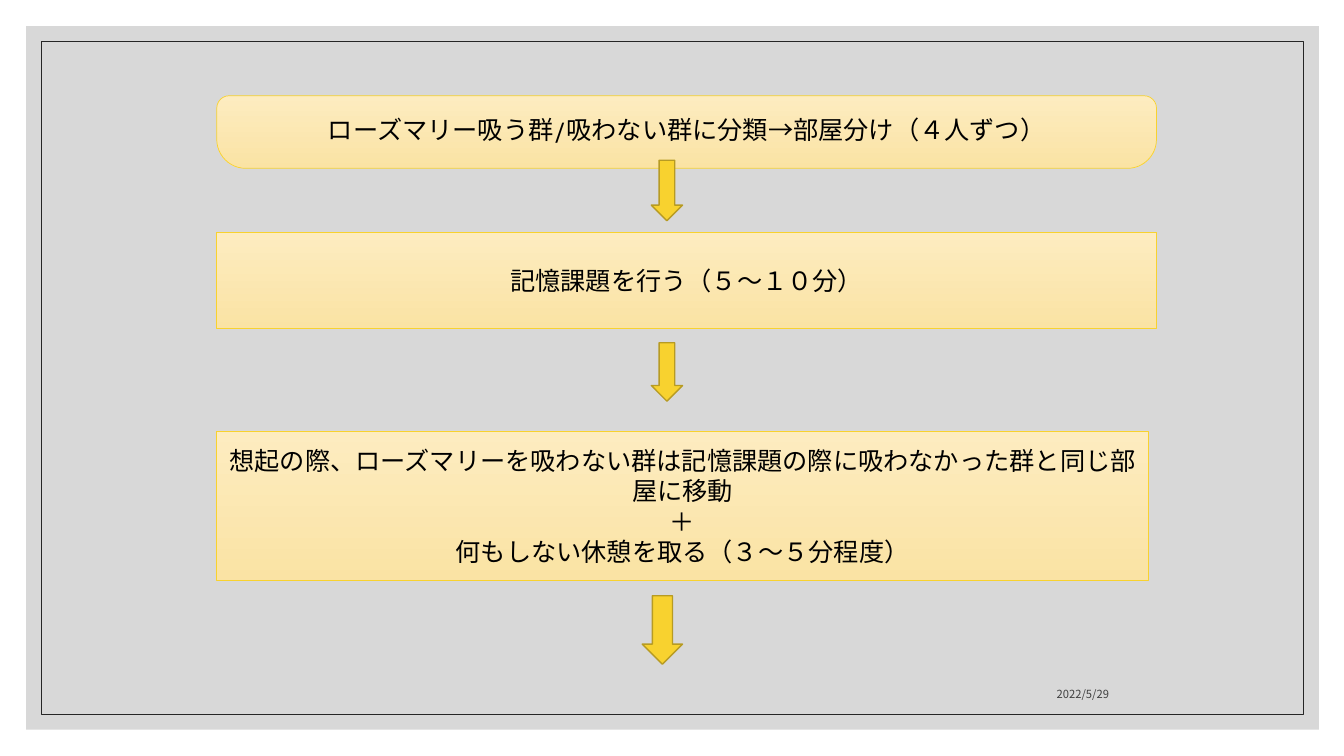
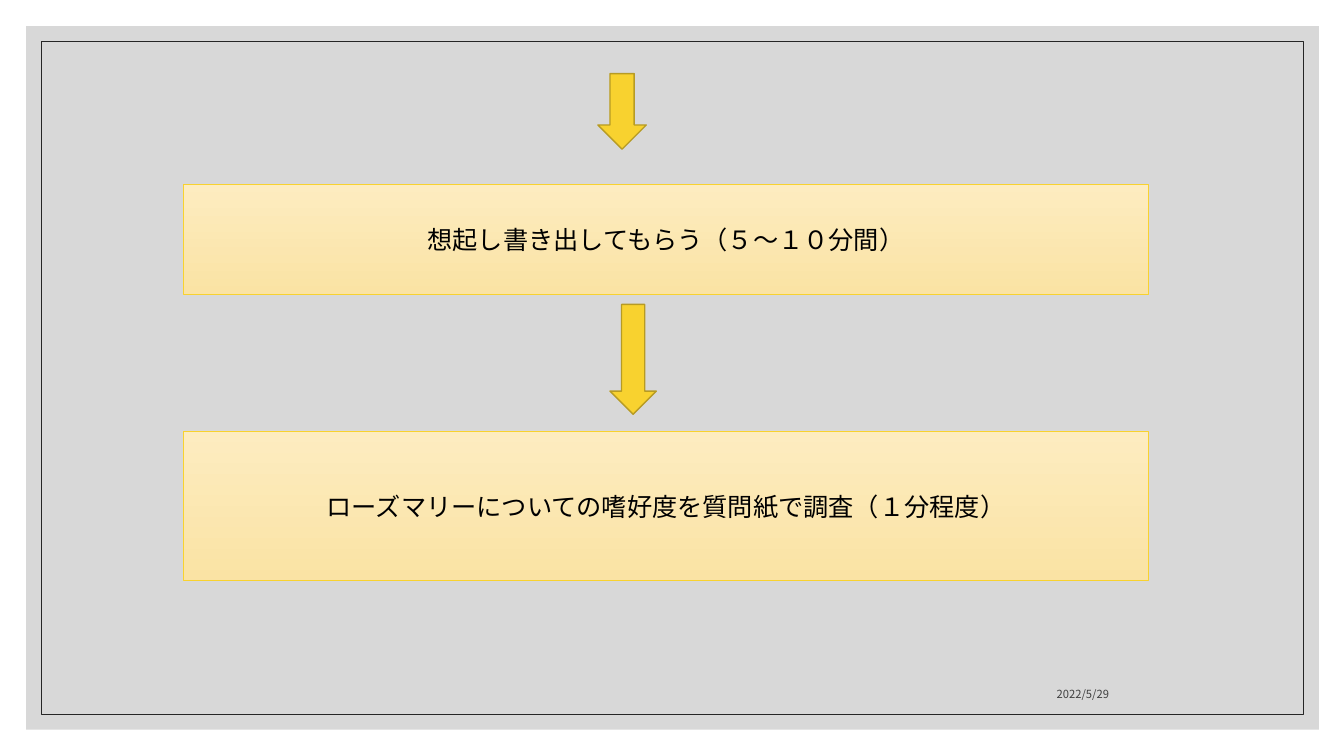
from dataclasses import dataclass
from lxml import etree
from pptx import Presentation
from pptx import util as u
from pptx.dml.color import RGBColor
from pptx.enum import lang, shapes, text
from pptx.oxml.ns import qn


@dataclass
class Theme:
    panel: str = "BFBFBF"
    panel_alpha: int = 60
    frame: str = "262626"
    date: str = "404040"
    ink: str = "000000"
    box: tuple = ("FDECC0", "FAE3A4")
    gold: str = "F8D22F"
    gold_dark: str = "B79B23"
    latin: str = "TeX Gyre Adventor"
    japanese: str = "Noto Sans CJK JP"
    body_size: int = 18
    date_size: int = 8


theme = Theme()
kinds = shapes.MSO_SHAPE
align = text.PP_ALIGN
anchor = text.MSO_ANCHOR


def add_shape(s, kind, at, fill=None, line=None, width=0.5):
    sp = s.shapes.add_shape(kind, *map(u.Inches, at))
    sp.shadow.inherit = False
    if isinstance(fill, tuple):
        sp.fill.gradient()
        sp.fill.gradient_angle = 270
        for stop, color in zip(sp.fill.gradient_stops, fill):
            stop.color.rgb = RGBColor.from_string(color)
    elif fill:
        sp.fill.solid()
        sp.fill.fore_color.rgb = RGBColor.from_string(fill)
    else:
        sp.fill.background()
    if line:
        sp.line.color.rgb = RGBColor.from_string(line)
        sp.line.width = u.Pt(width)
    else:
        sp.line.fill.background()
    return sp


def write(sp, lines, size, color, latin, alignment, vertical):
    tf = sp.text_frame
    for name, value in {"word_wrap": True, "vertical_anchor": vertical}.items():
        setattr(tf, name, value)
    for i, words in enumerate(lines):
        p = tf.add_paragraph() if i else tf.paragraphs[0]
        p.alignment = alignment
        r = p.add_run()
        r.text = words
        look = {"size": u.Pt(size), "name": latin,
                "language_id": lang.MSO_LANGUAGE_ID.JAPANESE}
        for name, value in look.items():
            setattr(r.font, name, value)
        r.font.color.rgb = RGBColor.from_string(color)
        etree.SubElement(r.font._element, qn("a:ea"), typeface=theme.japanese)


# Steps (kind, place, lines) and arrow places of each slide
left, wide = 2.15, 9.32
flows = [
    {"steps": [
        (kinds.ROUND_2_SAME_RECTANGLE, (left, 0.95, wide, 0.72),
         ["ローズマリー吸う群/吸わない群に分類→部屋分け（４人ずつ）"]),
        (kinds.RECTANGLE, (left, 2.31, wide, 0.95),
         ["記憶課題を行う（５～１０分）"]),
        (kinds.RECTANGLE, (left, 4.28, 9.24, 1.48),
         ["想起の際、ローズマリーを吸わない群は記憶課題の際に吸わなかった群と同じ部屋に移動",
          "＋",
          "何もしない休憩を取る（３～５分程度）"])],
     "arrows": [(6.46, 1.59, 0.31, 0.6), (6.46, 3.4, 0.31, 0.58),
                (6.37, 5.91, 0.4, 0.68)]},
    {"steps": [
        (kinds.RECTANGLE, (1.82, 1.83, 9.57, 1.09),
         ["想起し書き出してもらう（５～１０分間）"]),
        (kinds.RECTANGLE, (1.82, 4.28, 9.57, 1.48),
         ["ローズマリーについての嗜好度を質問紙で調査（１分程度）"])],
     "arrows": [(5.93, 0.73, 0.48, 0.75), (6.05, 3.02, 0.46, 1.09)]},
]

prs = Presentation()
prs.slide_width, prs.slide_height = u.Inches(13.33), u.Inches(7.5)

for flow in flows:
    s = prs.slides.add_slide(prs.slide_layouts[6])

    # Translucent panel and thin frame
    panel = add_shape(s, kinds.RECTANGLE, (0.26, 0.26, 12.82, 6.98), theme.panel)
    color = panel._element.spPr.find(qn("a:solidFill"))[0]
    etree.SubElement(color, qn("a:alpha"), val=str(theme.panel_alpha * 1000))
    add_shape(s, kinds.RECTANGLE, (0.41, 0.41, 12.52, 6.68), line=theme.frame)

    # Date
    date = s.shapes.add_textbox(*map(u.Inches, (7.94, 6.6, 3.16, 0.4)))
    write(date, ["2022/5/29"], theme.date_size, theme.date, theme.japanese,
          align.RIGHT, anchor.BOTTOM)

    # Steps
    for kind, at, lines in flow["steps"]:
        step = add_shape(s, kind, at, theme.box, theme.gold)
        if kind == kinds.ROUND_2_SAME_RECTANGLE:
            step.adjustments[0], step.adjustments[1] = 0.17, 0.4
        write(step, lines, theme.body_size, theme.ink, theme.latin,
              align.CENTER, anchor.MIDDLE)

    # Arrows
    for at in flow["arrows"]:
        add_shape(s, kinds.DOWN_ARROW, at, theme.gold, theme.gold_dark, 1)

prs.save("out.pptx")
